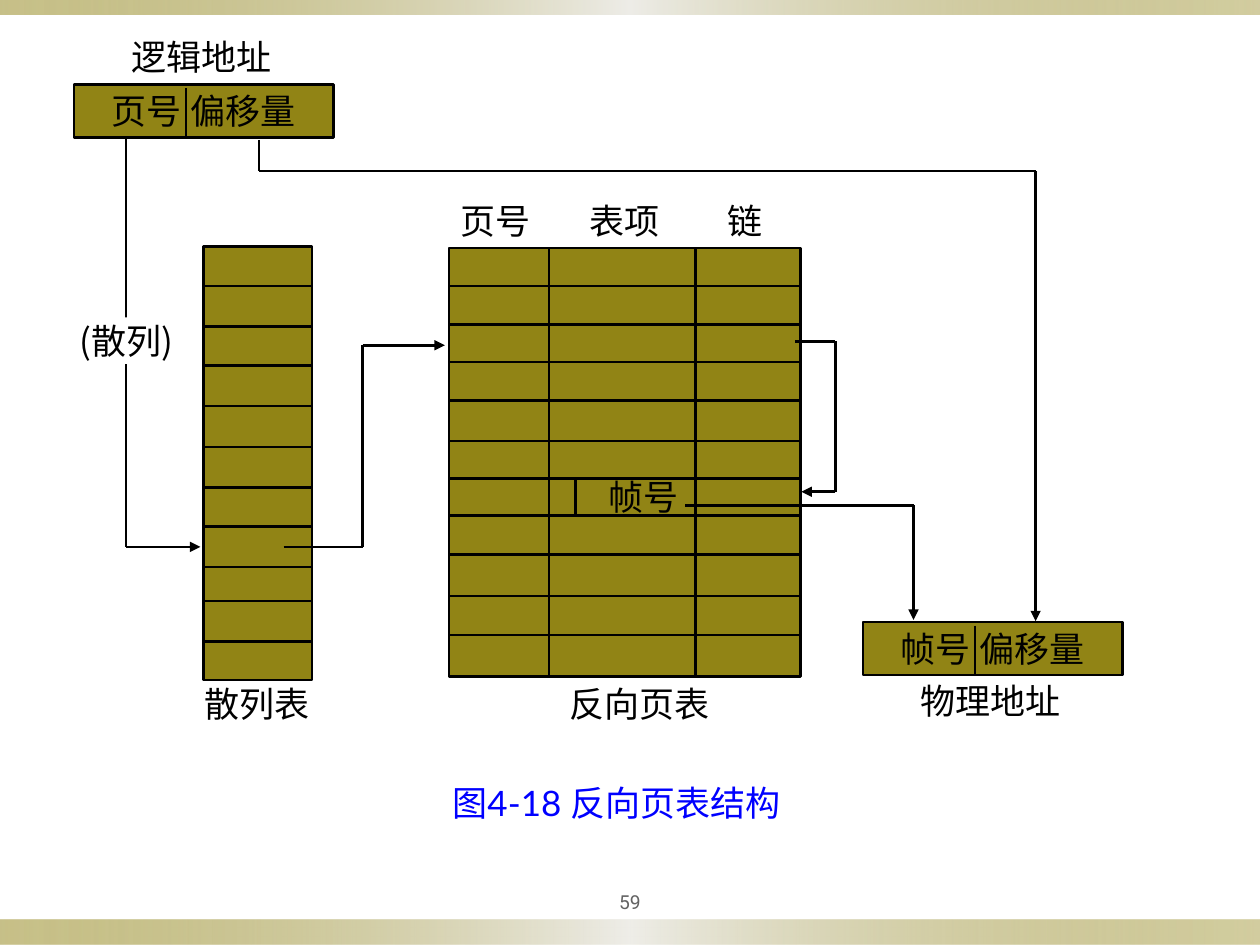
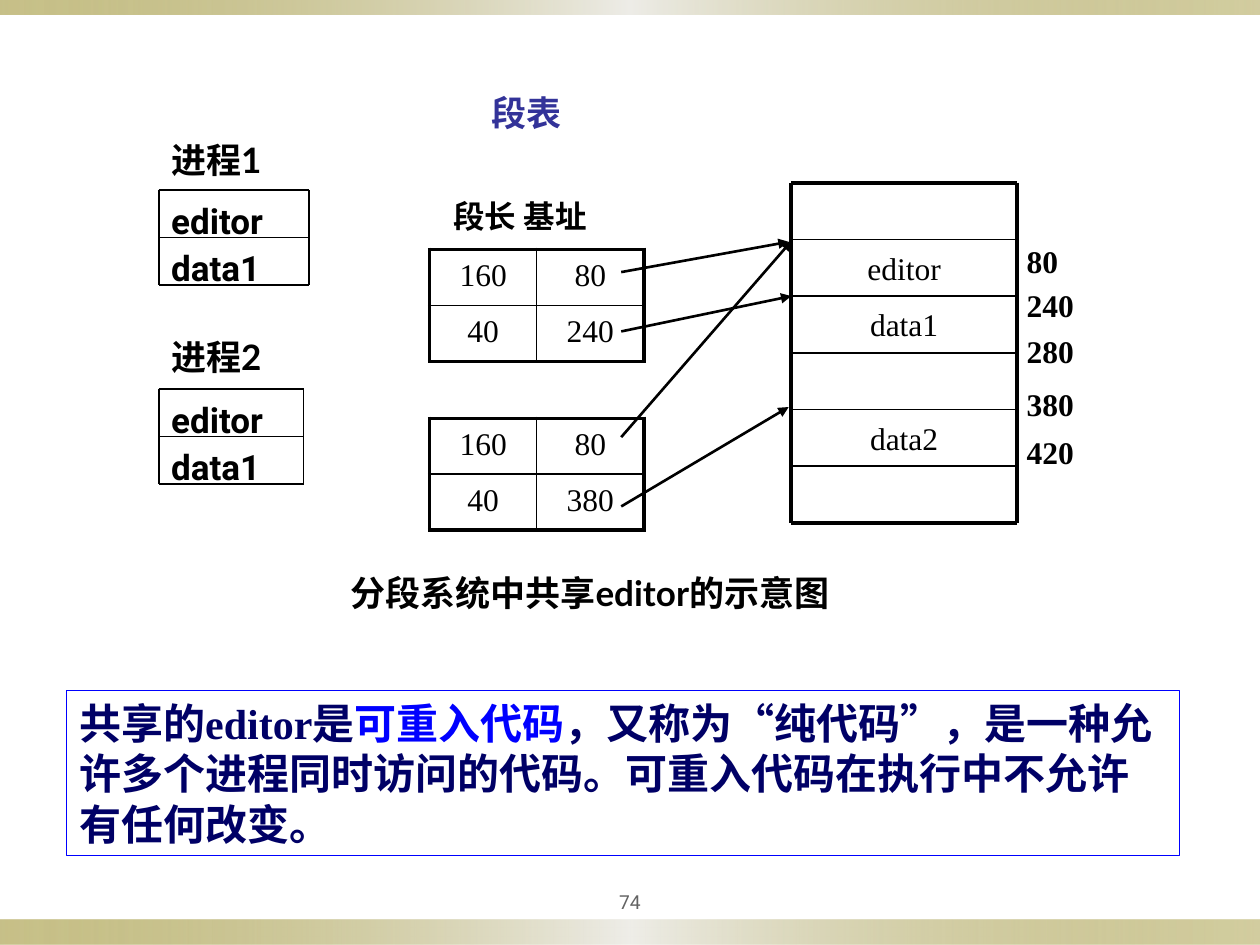
"""Build two slides on inverted page tables and shared segments."""
from lxml import etree
from pptx import Presentation
from pptx.dml.color import RGBColor
from pptx.enum.shapes import MSO_CONNECTOR, MSO_SHAPE
from pptx.enum.text import MSO_ANCHOR, PP_ALIGN
from pptx.oxml import parse_xml
from pptx.oxml.ns import qn
from pptx.util import Pt

STRAIGHT = MSO_CONNECTOR.STRAIGHT
RECT, PROCESS = MSO_SHAPE.RECTANGLE, MSO_SHAPE.FLOWCHART_PROCESS
LEFT, CENTER = PP_ALIGN.LEFT, PP_ALIGN.CENTER
TOP, MIDDLE = MSO_ANCHOR.TOP, MSO_ANCHOR.MIDDLE
BLACK, WHITE, OLIVE, BLUE = "000000", "FFFFFF", "918415", "0000FF"
LATO, ROBOTO, TIMES, NOTO = "Lato", "Roboto", "Times New Roman", "Noto Sans CJK SC"
NS = 'xmlns:a="http://schemas.openxmlformats.org/drawingml/2006/main"'
BAND_FILL = f"""<a:gradFill {NS}><a:gsLst>
<a:gs pos="0"><a:srgbClr val="{OLIVE}"><a:alpha val="50000"/></a:srgbClr></a:gs>
<a:gs pos="50000"><a:srgbClr val="EEEDE8"/></a:gs>
<a:gs pos="100000"><a:srgbClr val="{OLIVE}"><a:alpha val="40000"/></a:srgbClr></a:gs>
</a:gsLst><a:lin ang="0" scaled="0"/></a:gradFill>"""
rgb = RGBColor.from_string


def box(s, x, y, w, h, text="", size=20, font=LATO, color=BLACK, bold=False,
        align=CENTER, anchor=TOP, kind=None, fill=None, border=None, extra=()):
    """Add a text box, or a filled shape when a kind is given."""
    at = Pt(x), Pt(y), Pt(w), Pt(h)
    sp = s.shapes.add_shape(kind, *at) if kind else s.shapes.add_textbox(*at)
    tf = sp.text_frame
    tf.word_wrap = True
    tf.vertical_anchor = anchor
    if kind:
        sp.shadow.inherit = False
        tf.margin_top = tf.margin_bottom = tf.margin_left = tf.margin_right = 0
        sp.line.fill.background()
    if fill:
        sp.fill.solid()
        sp.fill.fore_color.rgb = rgb(fill)
    if border:
        sp.line.color.rgb = rgb(border)
        sp.line.width = Pt(1.5)
    tf.text = text
    for part in extra:
        tf.paragraphs[0].add_run().text = part
    for p in tf.paragraphs:
        p.alignment = align
        for r in p.runs:
            r.font.size, r.font.name, r.font.bold = Pt(size), font, bold
            r.font.color.rgb = rgb(color)
            east_asian = NOTO if font == TIMES else font
            etree.SubElement(r.font._element, qn("a:ea"), typeface=east_asian)
    return sp


def path_line(s, *points, width=1.5, arrow=False):
    """Join the points with straight lines, with an arrowhead at the end if asked."""
    for start, end in zip(points, points[1:]):
        c = s.shapes.add_connector(STRAIGHT, *(Pt(v) for v in start + end))
        c.line.color.rgb = rgb(BLACK)
        c.line.width = Pt(width)
        sp_pr = c._element.spPr
        if arrow and end == points[-1]:
            etree.SubElement(sp_pr.find(qn("a:ln")), qn("a:tailEnd"), type="triangle")
        etree.SubElement(sp_pr, qn("a:effectLst"))


prs = Presentation()
prs.slide_width, prs.slide_height = Pt(720), Pt(540)
slides = []
for number in ("59", "74"):
    s = prs.slides.add_slide(prs.slide_layouts[6])
    for y, h in ((525.5, 14.5), (0, 8.6)):
        band = box(s, 0, y, 720, h, kind=RECT)
        band._element.spPr.find(qn("a:prstGeom")).addnext(parse_xml(BAND_FILL))
    box(s, 324, 504.4, 72, 22, number, 11, ROBOTO, "636363", anchor=MIDDLE)
    slides.append(s)
s1, s2 = slides

for x, y, text in ((42.3, 48.2, "页号 偏移量"), (493.2, 355.5, "帧号 偏移量")):
    box(s1, x, y, 148.3, 30.3, text, anchor=MIDDLE, kind=PROCESS, fill=OLIVE, border=BLACK)
    path_line(s1, (x + 64, y + 2), (x + 64, y + 30))

hash_rows = (163.5, 186.5, 209, 232, 255.5, 278.5, 301, 324, 343.5, 366.5)
page_rows = (163.5, 185.5, 206.8, 229, 252, 273.6, 294.6, 316.8, 340.6, 362.8)
for x, y, w, h, row_tops in ((116.4, 141, 62, 247.5, hash_rows),
                             (256.5, 141.8, 201, 244.8, page_rows)):
    box(s1, x, y, w, h, kind=PROCESS, fill=OLIVE, border=BLACK)
    for row_top in row_tops:
        path_line(s1, (x, row_top), (x + w, row_top))
for x in (313.7, 397.4):
    path_line(s1, (x, 142), (x, 386))
path_line(s1, (329, 274), (329, 295.5))

path_line(s1, (72, 79), (72, 312.5), (114.5, 312.5), arrow=True)
path_line(s1, (162, 312.5), (207.2, 312.5), (207.2, 197.3), (254.2, 197.3), arrow=True)
path_line(s1, (454.5, 195), (477.4, 195), (477.4, 281), (458, 281), arrow=True)
path_line(s1, (391.7, 288.7), (522, 288.7), (522, 354.2), arrow=True)
path_line(s1, (148.1, 80), (148.1, 97.8), (591.8, 97.8), (591.8, 355), arrow=True)
box(s1, 33.8, 181.4, 77, 26.6, "(散列)", font=NOTO, anchor=MIDDLE, kind=RECT, fill=WHITE)

for x, y, w, text in (
    (254.2, 110.7, 58.5, "页号"), (327.4, 110.7, 58.5, "表项"), (396.5, 110.7, 58.5, "链"),
    (106.5, 386.6, 80.5, "散列表"), (313.4, 386.6, 104.5, "反向页表"),
    (332.3, 268.2, 71.5, "帧号"), (512.6, 384.5, 106.5, "物理地址"),
    (55.5, 17, 119.5, "逻辑地址"),
):
    box(s1, x, y, w, 31, text)
box(s1, 224.6, 443, 255.6, 31, "图4-18 反向页表结构", color=BLUE)

stacks = (
    (90.7, 108.7, 85.7, 27, ["editor", "data1"], 20, ROBOTO, True, LEFT, 1),
    (90.7, 222.5, 82.8, 27, ["editor", "data1"], 20, ROBOTO, True, LEFT, 1),
    (452.2, 104.4, 128.9, 32.4, ["", "editor", "data1", "", "data2", ""],
     18, TIMES, False, CENTER, 2.25),
)
for x, y, w, row_h, rows, size, font, bold, align, outer in stacks:
    bottom = y + row_h * len(rows)
    for i, value in enumerate(rows):
        top = y + i * row_h
        if value:
            box(s2, x, top + 1.7, w, row_h, value, size, font, bold=bold, align=align)
        path_line(s2, (x, top), (x + w, top), width=1 if i else outer)
    path_line(s2, (x, bottom), (x + w, bottom), width=outer)
    for side_x in (x, x + w):
        path_line(s2, (side_x, y), (side_x, bottom), width=outer)

for y, rows in ((142.5, [["160", "80"], ["40", "240"]]),
                (239, [["160", "80"], ["40", "380"]])):
    tbl = s2.shapes.add_table(2, 2, Pt(245.5), Pt(y), Pt(122.4), Pt(64)).table
    tbl.first_row = tbl.horz_banding = False
    for i, row in enumerate(rows):
        for j, value in enumerate(row):
            cell = tbl.cell(i, j)
            cell.margin_top, cell.margin_bottom = Pt(5), 0
            cell.text = value
            p = cell.text_frame.paragraphs[0]
            p.alignment = CENTER
            for r in p.runs:
                r.font.size, r.font.name = Pt(18), TIMES
                r.font.color.rgb = rgb(BLACK)
            edges = {"L": j == 0, "R": j == 1, "T": i == 0, "B": i == 1}
            for side, is_outer in edges.items():
                width = Pt(2.25 if is_outer else 1)
                cell._tc.get_or_add_tcPr().append(parse_xml(
                    f'<a:ln{side} {NS} w="{width}"><a:solidFill>'
                    f'<a:srgbClr val="{BLACK}"/></a:solidFill></a:ln{side}>'))
            cell.fill.background()

box(s2, 271.5, 48.7, 58.5, 31, "段表", color="333399", bold=True)
box(s2, 252, 109.2, 116, 32, "段长 基址", 18, bold=True, align=LEFT)
for y, text in ((75.6, "进程1"), (188, "进程2")):
    box(s2, 90.7, y, 77, 34.5, text, bold=True, align=LEFT)

for start, end in (
    ((355, 155.5), (450.7, 138.2)), ((355, 249.8), (452.5, 137.5)),
    ((355, 289.4), (450.7, 232.6)), ((355, 189.4), (452.2, 169.2)),
):
    path_line(s2, start, end, arrow=True)

sp = box(s2, 579.6, 135, 71.3, 159, "80\n240\n280\n380\n420", 18, TIMES, bold=True, align=LEFT)
for p, gap in zip(sp.text_frame.paragraphs, (0, 3.3, 4.7, 8.5, 5.7)):
    p.space_before = Pt(gap)

box(s2, 101.5, 323.3, 471, 31.5, "分段系统中共享editor的示意图", bold=True)

note = box(s2, 38.2, 394.6, 635.8, 94.3, "共享的editor是", 24, TIMES, "000066", True, LEFT,
           border=BLUE, extra=(
               "可重入代码",
               "，又称为“纯代码”，是一种允许多个进程同时访问的代码。可重入代码在执行中不允许有任何改变。"))
note.line.width = Pt(0.75)
p = note.text_frame.paragraphs[0]
p.line_spacing = Pt(29)
p.runs[1].font.color.rgb = rgb(BLUE)

prs.save("out.pptx")
